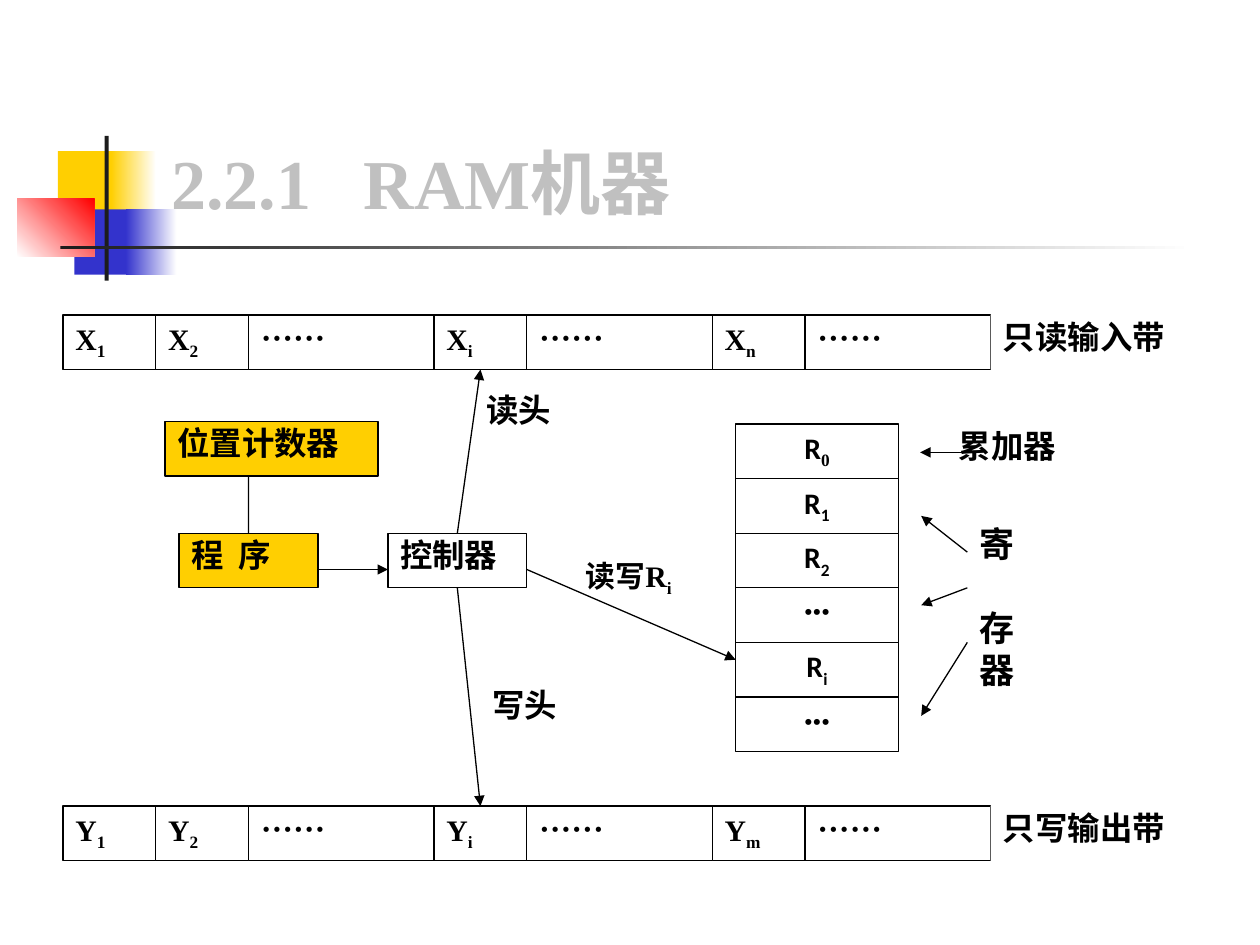
from lxml import etree
from pptx import Presentation
from pptx.dml.color import RGBColor
from pptx.enum.shapes import MSO_CONNECTOR, MSO_SHAPE
from pptx.enum.text import MSO_ANCHOR, MSO_AUTO_SIZE, PP_ALIGN
from pptx.oxml.ns import qn
from pptx.util import Cm, Pt

RECTANGLE = MSO_SHAPE.RECTANGLE
STRAIGHT = MSO_CONNECTOR.STRAIGHT
LEFT, CENTER, JUSTIFY = PP_ALIGN.LEFT, PP_ALIGN.CENTER, PP_ALIGN.JUSTIFY
TOP_SIDE, LEFT_SIDE, BOTTOM_SIDE = 0, 1, 2

BLACK = RGBColor(0x00, 0x00, 0x00)
WHITE = RGBColor(0xFF, 0xFF, 0xFF)
CHARCOAL = RGBColor(0x1C, 0x1C, 0x1C)
SILVER = RGBColor(0xC0, 0xC0, 0xC0)
YELLOW = RGBColor(0xFF, 0xCF, 0x01)
BLUE = RGBColor(0x33, 0x33, 0xCC)
RED = RGBColor(0xFF, 0x00, 0x00)

SERIF, SANS = "Times New Roman", "Calibri"
LATIN_SIZE, LABEL_SIZE = 17, 18.5
ROW_HEIGHT = 1.1
CELL_WIDTH = 1.87
TAPE_LEFT = 1.27
DOTS = "······"

# left, top, width, height, gradient start (or plain fill), gradient end, angle
DECORATION = [
    (1.17, 3.05, 1.22, 1.32, YELLOW, None, 0),
    (2.24, 3.05, 0.91, 1.32, YELLOW, WHITE, 0),
    (1.5, 4.22, 1.17, 1.32, BLUE, None, 0),
    (2.54, 4.22, 1.02, 1.32, BLUE, WHITE, 0),
    (0.35, 4.01, 1.55, 1.17, WHITE, RED, 45),
    (2.11, 2.74, 0.08, 2.92, CHARCOAL, None, 0),
    (1.22, 4.95, 22.86, 0.08, CHARCOAL, WHITE, 0),
]


def set_attributes(target, values):
    for name, value in values.items():
        setattr(target, name, value)


def add_rectangle(slide, left, top, width, height):
    shape = slide.shapes.add_shape(
        RECTANGLE, Cm(left), Cm(top), Cm(width), Cm(height))
    shape.shadow.inherit = False
    shape.line.fill.background()
    return shape


def fill_solid(shape, color):
    shape.fill.solid()
    shape.fill.fore_color.rgb = color


def add_decoration(slide):
    for left, top, width, height, start, end, angle in DECORATION:
        shape = add_rectangle(slide, left, top, width, height)
        if end is None:
            fill_solid(shape, start)
            continue
        shape.fill.gradient()
        shape.fill.gradient_angle = angle
        for stop, color, position in zip(
                shape.fill.gradient_stops, (start, end), (0, 1)):
            stop.color.rgb = color
            stop.position = position


def add_run(paragraph, text, font_name, size, color=BLACK, subscript=False):
    run = paragraph.add_run()
    run.text = text
    set_attributes(run.font, {"name": font_name, "size": Pt(size), "bold": True})
    run.font.color.rgb = color
    if subscript:
        run.font._element.set("baseline", "-25000")


def add_box(slide, left, top, width, text, subscript="", height=ROW_HEIGHT,
            fill=WHITE, outlined=True, font_name=SERIF, subscript_font=None,
            size=LABEL_SIZE, alignment=JUSTIFY, space_after=6, line_spacing=0.9):
    """Add a rectangle with one line of text and an optional subscript."""
    shape = add_rectangle(slide, left, top, width, height)
    fill_solid(shape, fill)
    if outlined:
        shape.line.color.rgb = BLACK
        shape.line.width = Pt(0.75)
    set_attributes(shape.text_frame, {
        "word_wrap": True, "vertical_anchor": MSO_ANCHOR.TOP})
    paragraph = shape.text_frame.paragraphs[0]
    set_attributes(paragraph, {
        "alignment": alignment, "line_spacing": line_spacing,
        "space_after": Pt(space_after)})
    size = LATIN_SIZE if subscript else size
    add_run(paragraph, text, font_name, size)
    if subscript:
        add_run(paragraph, subscript, subscript_font or font_name, size,
                subscript=True)
    return shape


def add_tape(slide, top, letter, last_index, label, label_width):
    """Add a row of tape cells with its label; return the cell under the head."""
    left = TAPE_LEFT
    head_cell = None
    for index in ("1", "2", None, "i", None, last_index, None):
        width = CELL_WIDTH if index else 2 * CELL_WIDTH
        cell = add_box(slide, left, top, width, letter if index else DOTS, index)
        if index == "i":
            head_cell = cell
        left += width
    add_box(slide, left, top, label_width, label, outlined=False)
    return head_cell


def add_registers(slide):
    registers = [("R", "0"), ("R", "1"), ("R", "2"), ("···", ""),
                 ("R", "i"), ("···", "")]
    for row, (text, subscript) in enumerate(registers):
        add_box(slide, 14.83, 8.55 + row * ROW_HEIGHT, 3.28, text, subscript,
                font_name=SANS, subscript_font=SERIF if row == 0 else SANS,
                alignment=CENTER, space_after=0)


def add_line(slide, start, end, arrow=True):
    connector = slide.shapes.add_connector(
        STRAIGHT, *(Cm(value) for value in (*start, *end)))
    connector.line.color.rgb = BLACK
    connector.line.width = Pt(0.75)
    if arrow:
        line = connector.line._get_or_add_ln()
        etree.SubElement(line, qn("a:tailEnd"), type="triangle")
    etree.SubElement(connector._element.spPr, qn("a:effectLst"))
    return connector


def format_title(slide):
    title = slide.shapes.title
    set_attributes(title, {"left": Cm(3.2), "top": Cm(0.58),
                           "width": Cm(21.64), "height": Cm(4.06)})
    set_attributes(title.text_frame, {
        "vertical_anchor": MSO_ANCHOR.BOTTOM, "word_wrap": True,
        "auto_size": MSO_AUTO_SIZE.NONE})
    paragraph = title.text_frame.paragraphs[0]
    paragraph.alignment = LEFT
    add_run(paragraph, "2.2.1   RAM机器", SERIF, 40, SILVER)
    slide.shapes._spTree.append(title._element)


def main():
    presentation = Presentation()
    presentation.slide_width = Cm(25.4)
    presentation.slide_height = Cm(19.05)
    slide = presentation.slides.add_slide(presentation.slide_layouts[5])

    add_decoration(slide)
    format_title(slide)

    add_box(slide, 11.56, 11.13, 2.79, "读写R", "i", outlined=False)
    add_box(slide, 9.55, 7.82, 1.88, "读头", outlined=False)
    add_box(slide, 9.68, 13.77, 1.88, "写头", outlined=False)
    input_cell = add_tape(slide, 6.35, "X", "n", "只读输入带", 4.37)
    output_cell = add_tape(slide, 16.25, "Y", "m", "只写输出带", 4.6)

    add_box(slide, 3.33, 8.5, 4.29, "位置计数器", fill=YELLOW)
    program = add_box(slide, 3.61, 10.75, 2.8, "程  序", fill=YELLOW)
    controller = add_box(slide, 7.82, 10.75, 2.8, "控制器")
    add_registers(slide)
    add_box(slide, 19.08, 8.55, 3.73, "累加器", outlined=False)
    add_box(slide, 19.5, 10.4, 1.4, "寄　存器", height=3.65, outlined=False,
            size=20, line_spacing=1.0)

    add_line(slide, (19.48, 9.12), (18.55, 9.12))
    for start_y, end_y in ((11.13, 10.4), (11.85, 12.2), (12.95, 14.43)):
        add_line(slide, (19.5, start_y), (18.57, end_y))
    add_line(slide, (6.41, 11.48), (7.82, 11.48))
    add_line(slide, (10.62, 11.48), (14.83, 13.3))

    read_head = add_line(slide, (9.22, 10.75), (9.68, 7.45))
    read_head.begin_connect(controller, TOP_SIDE)
    read_head.end_connect(input_cell, BOTTOM_SIDE)
    write_head = add_line(slide, (9.22, 11.85), (9.68, 16.25))
    write_head.begin_connect(controller, BOTTOM_SIDE)
    write_head.end_connect(output_cell, TOP_SIDE)
    counter_line = add_line(slide, (5.01, 9.6), (5.01, 10.75), arrow=False)
    counter_line.end_connect(program, TOP_SIDE)

    presentation.save("out.pptx")


if __name__ == "__main__":
    main()
